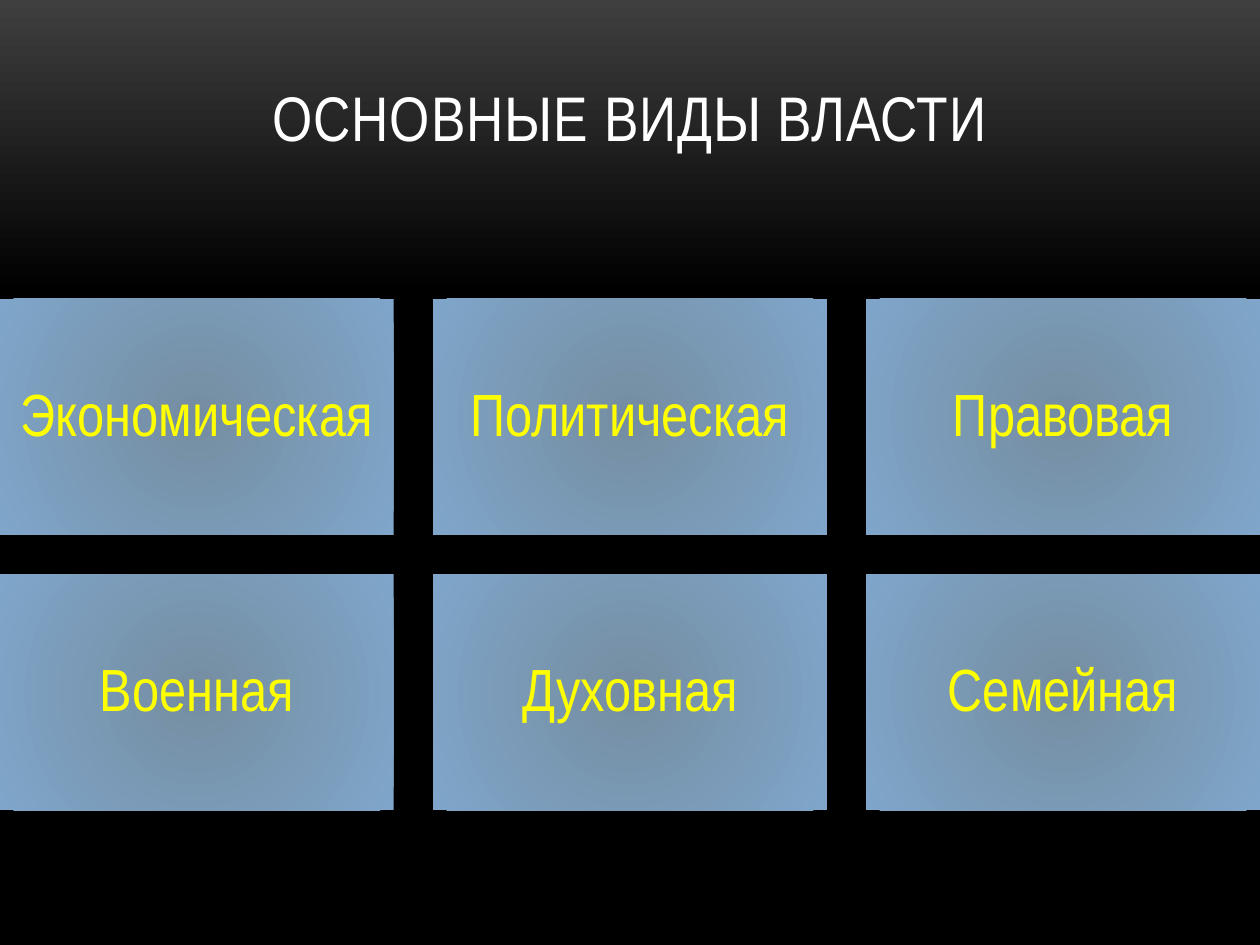
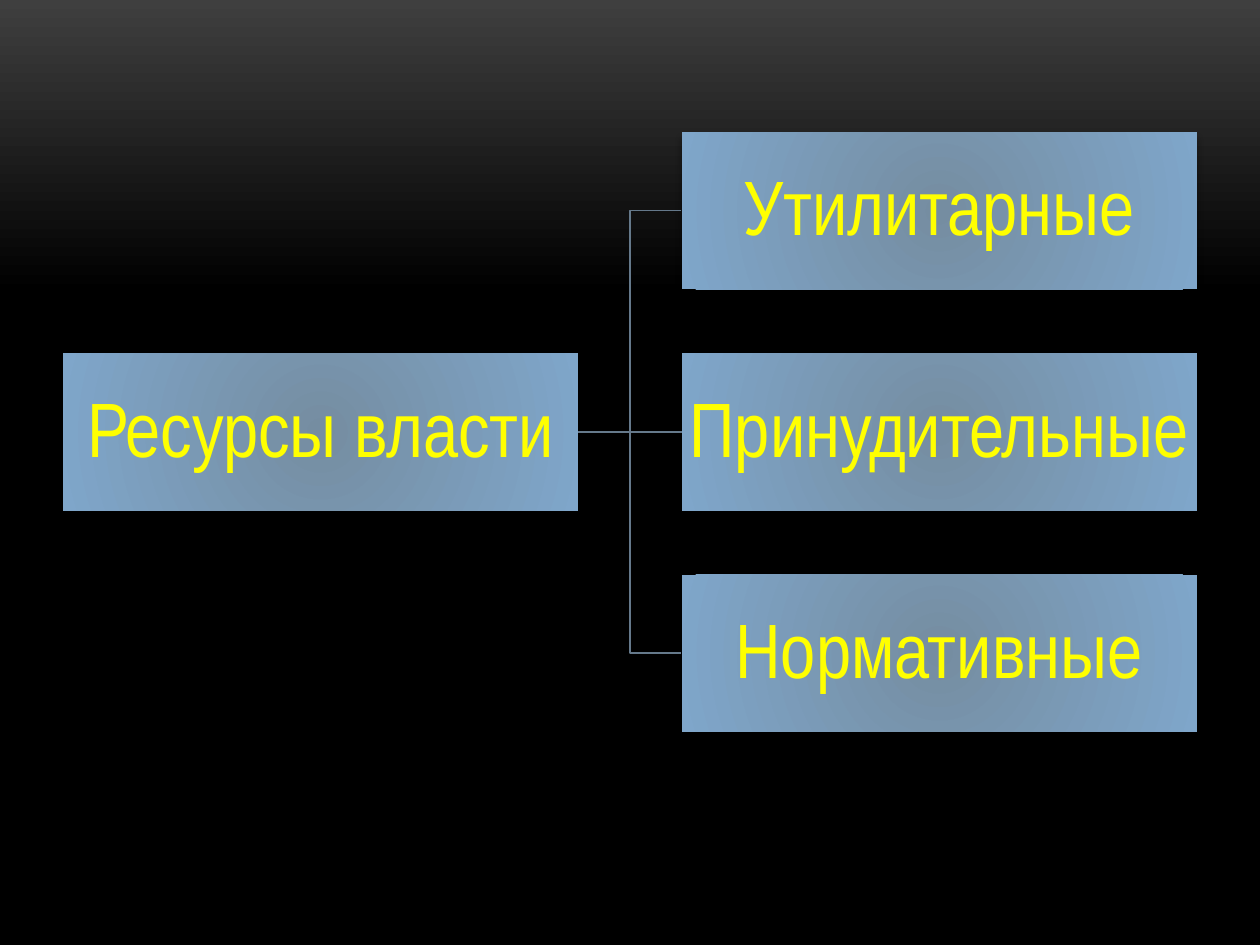
from dataclasses import dataclass

from lxml.etree import SubElement
from pptx import Presentation
from pptx.dml.color import RGBColor
from pptx.enum.shapes import MSO_CONNECTOR as Connector, MSO_SHAPE as Preset
from pptx.enum.text import MSO_ANCHOR as Anchor, PP_ALIGN as Align
from pptx.oxml.ns import qn
from pptx.util import Inches, Pt

WIDTH, HEIGHT = Inches(10), Inches(7.5)
FONT = "Arial Narrow"
COLOURS = {
    "sky": "3F3F3F",
    "night": "000000",
    "core": "758DA1",
    "rim": "7FA6CA",
    "label": "FFFF00",
    "title": "FFFFFF",
    "branch": "65798B",
}
TOP, LEFT, BOTTOM, RIGHT = range(4)


@dataclass(frozen=True)
class Grid:
    left: float
    top: float
    width: float
    columns: int
    column_gap: float
    row_gap: float
    aspect: float

    def cell(self, column: int, row: int) -> tuple[int, int, int, int]:
        width = self.width * WIDTH / (self.columns + self.column_gap * (self.columns - 1))
        height = width * self.aspect
        left = self.left * WIDTH + column * width * (1 + self.column_gap)
        top = self.top * HEIGHT + row * width * (self.aspect + self.row_gap)
        return round(left), round(top), round(width), round(height)


@dataclass(frozen=True)
class Card:
    label: str
    column: int
    row: int


@dataclass(frozen=True)
class CardStyle:
    size: int
    inset: float


KINDS_GRID = Grid(0, 0.316, 1, columns=3, column_gap=0.1, row_gap=0.1, aspect=0.6)
KINDS_STYLE = CardStyle(34, 0.14)
KINDS = (
    ("Экономическая", "Политическая", "Правовая"),
    ("Военная", "Духовная", "Семейная"),
)

RESOURCES_GRID = Grid(0.05, 0.14, 0.9, columns=2, column_gap=0.2, row_gap=0.124, aspect=0.305)
RESOURCES_STYLE = CardStyle(44, 0.03)
RESOURCES_ROOT = Card("Ресурсы власти", 0, 1)
RESOURCES = ("Утилитарные", "Принудительные", "Нормативные")


def set_gradient(fill, owner, stops: dict[int, str], radial: bool = False) -> None:
    fill.gradient()
    gradient = owner.find(".//" + qn("a:gradFill"))
    for child in list(gradient):
        gradient.remove(child)
    stop_list = SubElement(gradient, qn("a:gsLst"))
    for percent, colour in stops.items():
        stop = SubElement(stop_list, qn("a:gs"), pos=str(percent * 1000))
        SubElement(stop, qn("a:srgbClr"), val=COLOURS[colour])
    if radial:
        circle = SubElement(gradient, qn("a:path"), {"path": "circle"})
        SubElement(circle, qn("a:fillToRect"), {side: "100000" for side in "ltrb"})
    else:
        SubElement(gradient, qn("a:lin"), ang="5400000", scaled="0")


def add_page(deck):
    page = deck.slides.add_slide(deck.slide_layouts[6])
    set_gradient(page.background.fill, page.element, {0: "sky", 31: "night", 100: "night"})
    return page


def write(box, text: str, size: int, colour: str, inset: float):
    frame = box.text_frame
    frame.word_wrap = True
    frame.vertical_anchor = Anchor.MIDDLE
    frame.margin_left = frame.margin_right = Inches(inset)
    frame.margin_top = frame.margin_bottom = Inches(inset)
    para = frame.paragraphs[0]
    para.alignment = Align.CENTER
    span = para.add_run()
    span.text = text
    span.font.name = FONT
    span.font.size = Pt(size)
    span.font.color.rgb = RGBColor.from_string(COLOURS[colour])
    return para, span


def add_title(page, text: str) -> None:
    box = page.shapes.add_textbox(
        round(WIDTH / 15), round(HEIGHT * 0.04), round(WIDTH * 13 / 15), round(HEIGHT / 6)
    )
    para, span = write(box, text, 36, "title", 0.1)
    span.font.element.set("spc", "50") if hasattr(span.font, "element") else span._r.get_or_add_rPr().set("spc", "50")


def add_card(page, grid: Grid, card: Card, style: CardStyle):
    box = page.shapes.add_shape(Preset.RECTANGLE, *grid.cell(card.column, card.row))
    box.line.fill.background()
    box.shadow.inherit = False
    properties = box.element.spPr
    set_gradient(box.fill, properties, {0: "core", 100: "rim"}, radial=True)
    shadow = SubElement(
        properties.find(qn("a:effectLst")), qn("a:outerShdw"),
        blurRad=str(Pt(4)), dist=str(Pt(3.4)), dir="5400000", rotWithShape="0",
    )
    tint = SubElement(shadow, qn("a:srgbClr"), val=COLOURS["night"])
    SubElement(tint, qn("a:alpha"), val="40000")
    para, span = write(box, card.label, style.size, "label", style.inset)
    para.line_spacing = 0.9
    return box


def add_branch(page, root, leaf) -> None:
    kind = Connector.STRAIGHT if root.top == leaf.top else Connector.ELBOW
    branch = page.shapes.add_connector(kind, 0, 0, 0, 0)
    branch.begin_connect(root, RIGHT)
    branch.end_connect(leaf, LEFT)
    branch.line.color.rgb = RGBColor.from_string(COLOURS["branch"])
    branch.line.width = Pt(0.75)
    SubElement(branch.element.spPr, qn("a:effectLst"))


def build_kinds(deck) -> None:
    page = add_page(deck)
    add_title(page, "ОСНОВНЫЕ ВИДЫ ВЛАСТИ")
    for row, labels in enumerate(KINDS):
        for column, label in enumerate(labels):
            add_card(page, KINDS_GRID, Card(label, column, row), KINDS_STYLE)


def build_resources(deck) -> None:
    page = add_page(deck)
    root = add_card(page, RESOURCES_GRID, RESOURCES_ROOT, RESOURCES_STYLE)
    for row, label in enumerate(RESOURCES):
        leaf = add_card(page, RESOURCES_GRID, Card(label, 1, row), RESOURCES_STYLE)
        add_branch(page, root, leaf)


def main() -> None:
    deck = Presentation()
    deck.slide_width, deck.slide_height = WIDTH, HEIGHT
    build_kinds(deck)
    build_resources(deck)
    deck.save("out.pptx")


if __name__ == "__main__":
    main()
